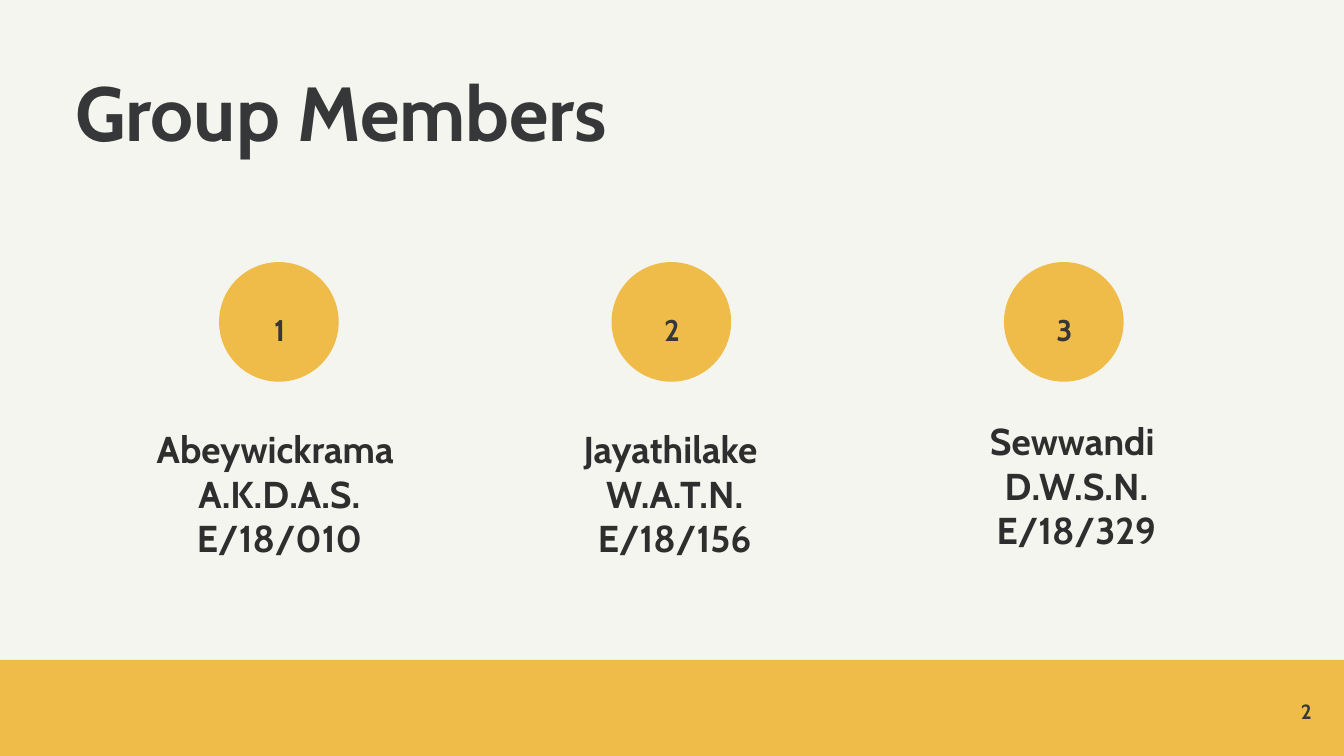
from pptx import Presentation
from pptx.dml.color import RGBColor
from pptx.enum.shapes import MSO_SHAPE
from pptx.enum.text import MSO_ANCHOR, PP_ALIGN
from pptx.util import Inches, Pt

WIDE = 10
HIGH = WIDE * 9 / 16
FONT = "Cabin"
HUES = {"back": "F5F5EF", "gold": "EFBC49", "dark": "363739", "ink": "2E2E2E"}

# Grid of three columns: left edge of the first disc and the step between them
START, STEP = 1.63, 2.92
DISC = 0.89

# Lines of each caption, its middle and its top
MEMBERS = [
    (["Abeywickrama ", "A.K.D.A.S.", "E/18/010"], 2.08, 3.17),
    (["Jayathilake ", "W.A.T.N.", "E/18/156"], 5.02, 3.17),
    (["Sewwandi ", "D.W.S.N.", "E/18/329"], 8.01, 3.11),
]


def hue(name):
    return RGBColor.from_string(HUES[name])


def add_block(slide, kind, left, top, width, height):
    """Add a plain gold shape."""
    block = slide.shapes.add_shape(
        kind, Inches(left), Inches(top), Inches(width), Inches(height))
    block.shadow.inherit = False
    block.fill.solid()
    block.fill.fore_color.rgb = hue("gold")
    block.line.fill.background()


def add_text(slide, lines, left, top, width, height, size, color="dark",
             align=PP_ALIGN.CENTER, space=1.0, anchor=MSO_ANCHOR.TOP):
    """Add a bold text box without margins, one paragraph a line."""
    box = slide.shapes.add_textbox(
        Inches(left), Inches(top), Inches(width), Inches(height))
    frame = box.text_frame
    frame.word_wrap = True
    frame.vertical_anchor = anchor
    frame.margin_left = frame.margin_right = 0
    frame.margin_top = frame.margin_bottom = 0
    frame.text = "\n".join(lines)
    for para in frame.paragraphs:
        para.alignment = align
        para.line_spacing = space
        for run in para.runs:
            run.font.name = FONT
            run.font.size = Pt(size)
            run.font.bold = True
            run.font.color.rgb = hue(color)


def add_member(slide, index, lines, middle, top):
    """Add a numbered disc and the caption below it."""
    left = START + index * STEP
    add_block(slide, MSO_SHAPE.OVAL, left, 1.95, DISC, DISC)
    add_text(slide, [str(index + 1)], left + 0.24, 2.25, 0.42, 0.27, 16,
             space=1.25)
    add_text(slide, lines, middle - 1.73, top, 3.46, 1.53, 20, color="ink")


def main():
    deck = Presentation()
    deck.slide_width, deck.slide_height = Inches(WIDE), Inches(HIGH)
    slide = deck.slides.add_slide(deck.slide_layouts[6])
    slide.background.fill.solid()
    slide.background.fill.fore_color.rgb = hue("back")

    # Title
    add_text(slide, ["Group Members"], 0.56, 0.56, 7.09, 0.79, 41,
             align=PP_ALIGN.LEFT, space=0.9)

    # Members
    for index, (lines, middle, top) in enumerate(MEMBERS):
        add_member(slide, index, lines, middle, top)

    # Footer band and page number
    add_block(slide, MSO_SHAPE.RECTANGLE, 0, 4.91, WIDE, HIGH - 4.91)
    add_text(slide, ["2"], 9.16, 5.19, 0.6, 0.2, 11,
             align=PP_ALIGN.RIGHT, anchor=MSO_ANCHOR.MIDDLE)

    deck.save("out.pptx")


if __name__ == "__main__":
    main()
